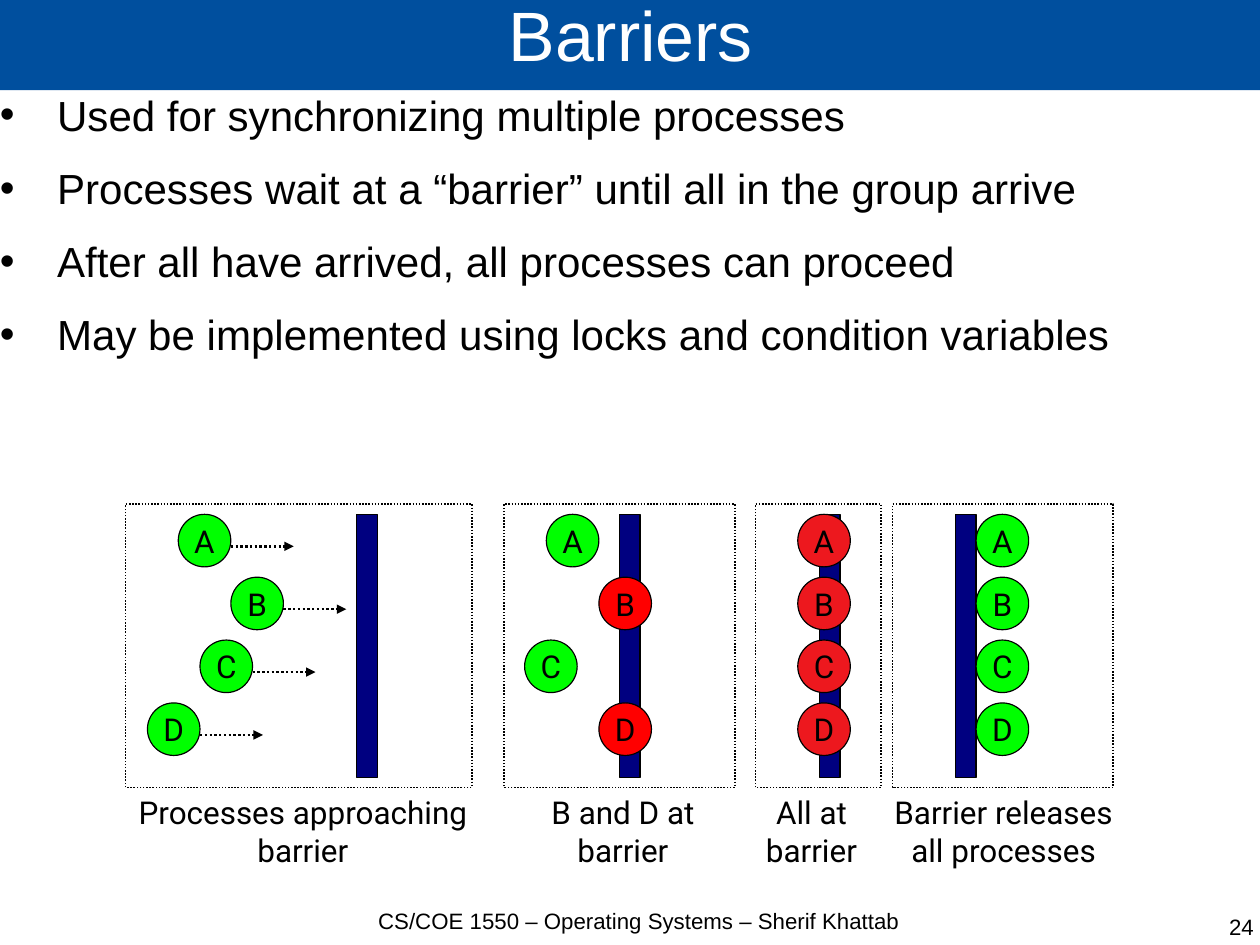
from dataclasses import dataclass

from lxml.etree import SubElement
from pptx import Presentation
from pptx.dml.color import RGBColor
from pptx.enum.dml import MSO_LINE
from pptx.enum.shapes import MSO_CONNECTOR, MSO_SHAPE
from pptx.enum.text import MSO_ANCHOR, MSO_AUTO_SIZE, PP_ALIGN
from pptx.oxml.ns import qn
from pptx.util import Inches, Pt


@dataclass(frozen=True)
class Theme:
    """Colours, fonts and type sizes of the slide."""
    banner: str = "004F9E"
    paper: str = "FFFFFF"
    ink: str = "000000"
    wall: str = "000080"
    running: str = "00FF00"
    blocked: str = "FF0000"
    all_blocked: str = "ED181E"
    text_font: str = "Arial"
    diagram_font: str = "Roboto"
    title_size: float = 44
    body_size: float = 26.5
    diagram_size: float = 19.8
    footer_size: float = 14


def write(frame, text, *, size, font, color, align=PP_ALIGN.LEFT, anchor=MSO_ANCHOR.TOP,
          inset=(0, 0), wrap=True, spacing=None, after=None, bullet=None, indent=0.5):
    """Fill a text frame, one paragraph per line of text."""
    frame.word_wrap, frame.vertical_anchor = wrap, anchor
    frame.margin_left = frame.margin_right = Inches(inset[0])
    frame.margin_top = frame.margin_bottom = Inches(inset[1])
    for index, line in enumerate(text.split("\n")):
        paragraph = frame.add_paragraph() if index else frame.paragraphs[0]
        paragraph.text, paragraph.alignment = line, align
        if spacing:
            paragraph.line_spacing = spacing
        if after:
            paragraph.space_after = Pt(after)
        for run in paragraph.runs:
            run.font.size, run.font.name = Pt(size), font
            run.font.color.rgb = RGBColor.from_string(color)
        if bullet:
            properties = paragraph._p.get_or_add_pPr()
            properties.set("marL", str(Inches(indent)))
            properties.set("indent", str(Inches(-indent)))
            bullet_color = SubElement(properties, qn("a:buClr"))
            SubElement(bullet_color, qn("a:srgbClr"), val=color)
            SubElement(properties, qn("a:buFont"), typeface=font)
            SubElement(properties, qn("a:buChar"), char=bullet)


class BarrierSlide:
    """Draws elements in one theme on the current slide."""

    def __init__(self, slide, theme):
        self.slide, self.theme = slide, theme
        self.canvas = slide.shapes

    def start_group(self):
        """Send the following elements to a new group."""
        self.canvas = self.slide.shapes.add_group_shape().shapes

    def outline(self, line, width, dash=None):
        """Style a line or a border."""
        line.color.rgb = RGBColor.from_string(self.theme.ink)
        line.width = Pt(width)
        if dash:
            line.dash_style = dash

    def block(self, box, fill, kind=MSO_SHAPE.RECTANGLE, width=0.75, dash=None):
        """Add a filled preset shape, without a border when width is zero."""
        shape = self.canvas.add_shape(kind, *map(Inches, box))
        shape.shadow.inherit = False
        shape.fill.solid()
        shape.fill.fore_color.rgb = RGBColor.from_string(fill)
        if width:
            self.outline(shape.line, width, dash)
        else:
            shape.line.fill.background()
        return shape

    def title(self, box, text):
        """Add the title banner."""
        banner = self.block(box, self.theme.banner, width=0)
        write(banner.text_frame, text, size=self.theme.title_size, font=self.theme.text_font,
              color=self.theme.paper, align=PP_ALIGN.CENTER, anchor=MSO_ANCHOR.MIDDLE,
              spacing=0.69)

    def text(self, box, text, size, **style):
        """Add a plain text box."""
        frame = self.canvas.add_textbox(*map(Inches, box)).text_frame
        write(frame, text, size=size, font=self.theme.text_font, color=self.theme.ink, **style)

    def caption(self, box, text):
        """Add a centred label below a panel."""
        frame = self.canvas.add_textbox(*map(Inches, box)).text_frame
        frame.auto_size = MSO_AUTO_SIZE.SHAPE_TO_FIT_TEXT
        write(frame, text, size=self.theme.diagram_size, font=self.theme.diagram_font,
              color=self.theme.ink, align=PP_ALIGN.CENTER, inset=(0.1, 0.05), wrap=False)

    def process(self, left, top, name, fill):
        """Add one process circle."""
        circle = self.block((left, top, CIRCLE, CIRCLE), fill, MSO_SHAPE.OVAL)
        write(circle.text_frame, name, size=self.theme.diagram_size,
              font=self.theme.diagram_font, color=self.theme.ink, align=PP_ALIGN.CENTER,
              anchor=MSO_ANCHOR.MIDDLE, inset=(0.1, 0.05), wrap=False)

    def arrow(self, left, y, length):
        """Add a dotted arrow pointing right."""
        ends = map(Inches, (left, y, left + length, y))
        arrow = self.canvas.add_connector(MSO_CONNECTOR.STRAIGHT, *ends)
        self.outline(arrow.line, 1.5, MSO_LINE.ROUND_DOT)
        SubElement(arrow.line._get_or_add_ln(), qn("a:tailEnd"), type="triangle")
        SubElement(arrow._element.spPr, qn("a:effectLst"))

    def panel(self, stage):
        """Add one stage: frame, caption, barrier and processes."""
        self.start_group()
        self.block((stage.left, PANEL_TOP, stage.width, PANEL_HEIGHT), self.theme.paper,
                   width=1, dash=MSO_LINE.ROUND_DOT)
        self.caption((stage.caption_left, PANEL_TOP + PANEL_HEIGHT, stage.caption_width, 0.77),
                     stage.caption)
        self.block((stage.barrier, FIRST_ROW, 0.18, 2.3), self.theme.wall)
        tops = [FIRST_ROW + row * ROW_STEP for row in range(len(PROCESSES))]
        for name, left, top, fill in zip(PROCESSES, stage.lefts, tops, stage.fills):
            self.process(left, top, name, fill)
        if stage.moving:
            for left, top in zip(stage.lefts, tops):
                self.arrow(left + CIRCLE, top + 0.28, ROW_STEP)


@dataclass
class Stage:
    """One stage of the barrier diagram."""
    left: float
    width: float
    caption: str
    caption_left: float
    caption_width: float
    barrier: float
    lefts: tuple
    fills: tuple
    moving: bool = False


PAGE_WIDTH, PAGE_HEIGHT = 28 / 2.54, 21 / 2.54
PROCESSES = "ABCD"
CIRCLE, FIRST_ROW, ROW_STEP = 0.46, 4.5, 0.55
PANEL_TOP, PANEL_HEIGHT = 4.41, 2.48
THEME = Theme()
STAGES = (
    Stage(4.41, 2.02, "B and D at\nbarrier", 4.69, 1.52, 5.42,
          (4.78, 5.24, 4.59, 5.24), (THEME.running, THEME.blocked) * 2),
    Stage(6.61, 1.1, "All at\nbarrier", 6.6, 1, 7.17,
          (6.98,) * 4, (THEME.all_blocked,) * 4),
    Stage(7.81, 1.93, "Barrier releases\vall processes", 7.7, 2.16, 8.36,
          (8.54,) * 4, (THEME.running,) * 4),
    Stage(1.1, 3.03, "Processes approaching\nbarrier", 1.1, 3.1, 3.12,
          (1.56, 2.02, 1.75, 1.29), (THEME.running,) * 4, moving=True),
)
POINTS = (
    "Used for synchronizing multiple processes",
    "Processes wait at a “barrier” until all in the group arrive",
    "After all have arrived, all processes can proceed",
    "May be implemented using locks and condition variables",
)


def main():
    """Build and save the slide."""
    deck = Presentation()
    deck.slide_width, deck.slide_height = Inches(PAGE_WIDTH), Inches(PAGE_HEIGHT)
    page = BarrierSlide(deck.slides.add_slide(deck.slide_layouts[6]), THEME)
    page.title((0, -0.02, 11.04, 0.81), "Barriers")
    page.text((0, 0.78, 11.04, 7.18), "\n".join(POINTS), THEME.body_size,
              after=14.2, bullet="•")
    page.text((3.07, 7.94, 5.04, 0.55), "CS/COE 1550 – Operating Systems – Sherif Khattab",
              THEME.footer_size, align=PP_ALIGN.CENTER)
    page.text((8.44, 7.99, 2.53, 0.55), "24", THEME.footer_size, align=PP_ALIGN.RIGHT)
    for stage in STAGES:
        page.panel(stage)
    deck.save("out.pptx")


if __name__ == "__main__":
    main()
